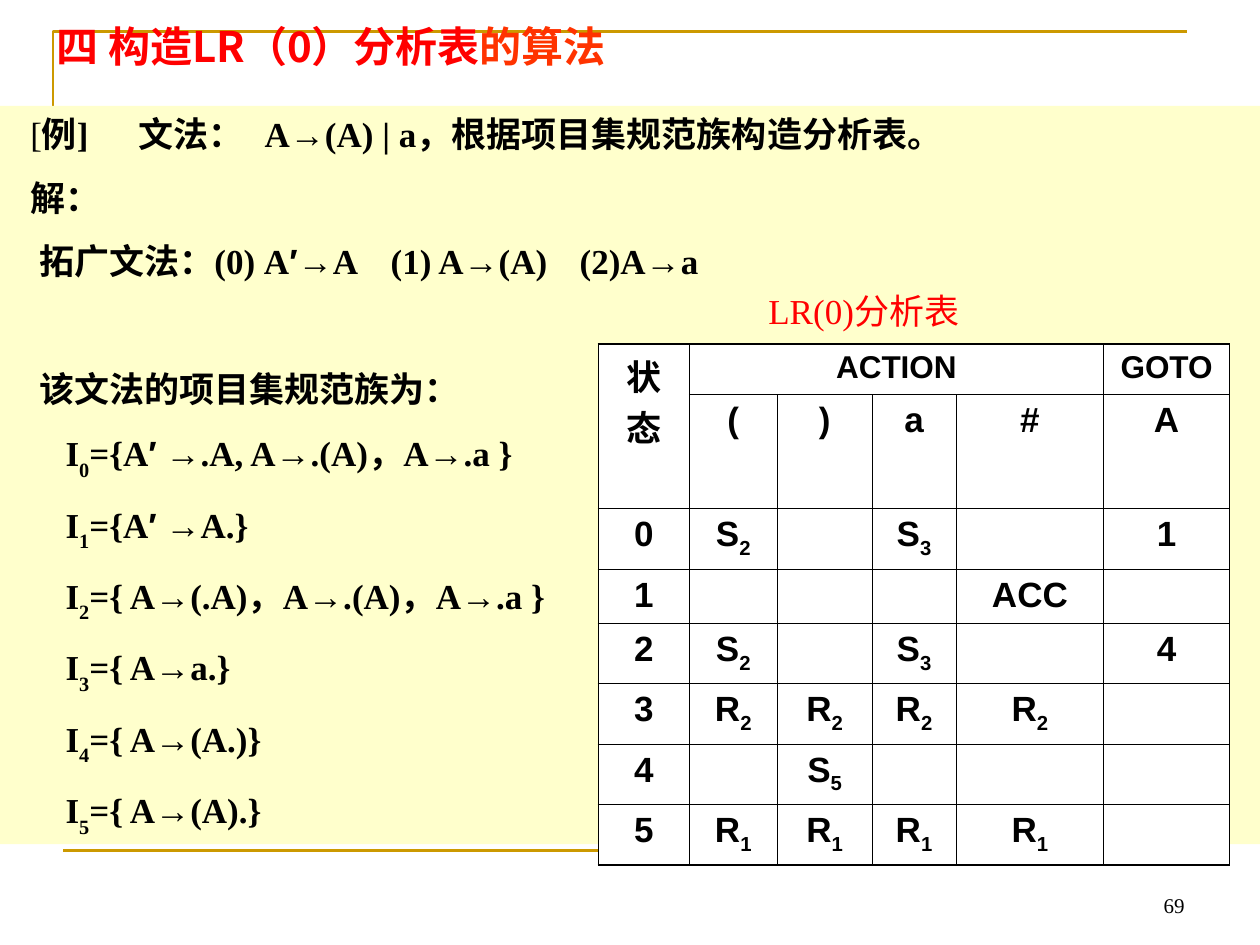
from lxml.etree import SubElement
from pptx import Presentation
from pptx.dml.color import RGBColor
from pptx.enum.shapes import MSO_CONNECTOR
from pptx.enum.text import MSO_ANCHOR as ANCHOR, MSO_AUTO_SIZE as AUTO, PP_ALIGN as ALIGN
from pptx.oxml.ns import qn
from pptx.util import Inches, Pt

rgb = RGBColor.from_string
SERIF, SANS, CJK = "Times New Roman", "Arial", "Noto Sans CJK SC"
GOLD = "CC9900"


def write(p, text, sz=20, f=SERIF, c="000000", b=False, drop=30):
    """Add text to p; the character after "_" is a subscript, primes are sans."""
    pieces = []
    for i, part in enumerate(text.split("_")):
        if i:
            pieces.append((part[0], f, drop))
            part = part[1:]
        pieces += [(t, SANS if t == "′" else f, 0) for t in part.partition("′") if t]
    for t, face, base in pieces:
        r = p.add_run()
        r.text = t
        r.font.size, r.font.name, r.font.bold = Pt(sz), face, b
        r.font.color.rgb = rgb(c)
        rPr = r._r.get_or_add_rPr()
        if base:
            rPr.set("baseline", str(-base * 1000))
        SubElement(rPr, qn("a:ea"), typeface=CJK)


def place(sp, x, y, w, h, anchor=ANCHOR.TOP):
    """Position a text shape and return its text frame."""
    sp.left, sp.top, sp.width, sp.height = (Inches(v) for v in (x, y, w, h))
    tf = sp.text_frame
    tf.word_wrap, tf.auto_size, tf.vertical_anchor = True, AUTO.NONE, anchor
    return tf


prs = Presentation()
prs.slide_width, prs.slide_height = Inches(10), Inches(7.5)
s = prs.slides.add_slide(prs.slide_layouts[1])
title, body = s.shapes.title, s.placeholders[1]

# Frame lines
fb = s.shapes.build_freeform(Inches(0.42), Inches(0.92))
fb.add_line_segments([(Inches(0.42), Inches(0.25)), (Inches(9.42), Inches(0.25))], close=False)
corner = fb.convert_to_shape()
corner.fill.background()
corner.shadow.inherit = False
rule = s.shapes.add_connector(MSO_CONNECTOR.STRAIGHT, Inches(0.5), Inches(6.75), Inches(9.5), Inches(6.75))
SubElement(rule._element.spPr, qn("a:effectLst"))
for line in (corner.line, rule.line):
    line.color.rgb, line.width = rgb(GOLD), Pt(1.5)

# Slide number
tf = place(s.shapes.add_textbox(0, 0, 0, 0), 7.17, 6.83, 2.33, 0.5, ANCHOR.BOTTOM)
p = tf.paragraphs[0]
p.alignment = ALIGN.RIGHT
write(p, "69", sz=12)

# Body and title go above the frame lines
tree = body.element.getparent()
tree.append(body.element)
tf = place(body, 0, 0.84, 10, 5.86)
body.fill.solid()
body.fill.fore_color.rgb = rgb("FFFFCC")

# Text, first-line indent, space before, tab stops
lines = [
    ("例]\t文法：\tA→(A) | a，根据项目集规范族构造分析表。", 0.14, 0, (0.94, 1.97)),
    ("解：", 0.14, 12.5, ()),
    ("拓广文法：(0) A′→A\t(1) A→(A)\t(2)A→a", 0.21, 12.5, (2.98, 4.57)),
    ("该文法的项目集规范族为：", 0.21, 49, ()),
]
item_sets = ["={A′ →.A, A→.(A)，A→.a }", "={A′ →A.}", "={ A→(.A)，A→.(A)，A→.a }",
             "={ A→a.}", "={ A→(A.)}", "={ A→(A).}"]
lines += [(f"I_{n}{items}", 0.42, 12.5, ()) for n, items in enumerate(item_sets)]
for n, (text, indent, before, stops) in enumerate(lines):
    p = tf.paragraphs[0] if n == 0 else tf.add_paragraph()
    pPr = p._p.get_or_add_pPr()
    pPr.set("marL", "0")
    pPr.set("indent", str(Inches(indent)))
    SubElement(pPr, qn("a:buNone"))
    if stops:
        tabs = SubElement(pPr, qn("a:tabLst"))
        for stop in stops:
            SubElement(tabs, qn("a:tab"), pos=str(Inches(stop)), algn="l")
    p.space_before = Pt(before)
    p.alignment = ALIGN.JUSTIFY if n else ALIGN.LEFT
    if n == 0:
        write(p, "[")
    write(p, text, b=True)

# Parsing table
cols = [0.72, 0.7, 0.75, 0.67, 1.17, 1]
rows = [0.4, 0.77, 0.48, 0.43] + [0.48] * 4
cells = [
    ["状态", "ACTION", "", "", "", "GOTO"],
    ["", "(", ")", "a", "#", "A"],
    ["0", "S_2", "", "S_3", "", "1"],
    ["1", "", "", "", "ACC", ""],
    ["2", "S_2", "", "S_3", "", "4"],
    ["3", "R_2", "R_2", "R_2", "R_2", ""],
    ["4", "", "S_5", "", "", ""],
    ["5", "R_1", "R_1", "R_1", "R_1", ""],
]
table = s.shapes.add_table(len(rows), len(cols), Inches(4.75), Inches(2.73),
                           Inches(sum(cols)), Inches(sum(rows))).table
table.first_row = table.horz_banding = False
for col, w in zip(table.columns, cols):
    col.width = Inches(w)
for row, h in zip(table.rows, rows):
    row.height = Inches(h)
table.cell(0, 0).merge(table.cell(1, 0))
table.cell(0, 1).merge(table.cell(0, 4))
for i, row in enumerate(cells):
    for j, text in enumerate(row):
        cell = table.cell(i, j)
        tcPr = cell._tc.get_or_add_tcPr()
        outer = {"L": j == 0, "R": j == len(cols) - 1, "T": i == 0, "B": i == len(rows) - 1}
        for side, edge in outer.items():
            ln = SubElement(tcPr, qn(f"a:ln{side}"), w=str(Pt(1.08 if edge else 0.45)))
            SubElement(SubElement(ln, qn("a:solidFill")), qn("a:srgbClr"), val="000000")
        cell.fill.solid()
        cell.fill.fore_color.rgb = rgb("FFFFFF")
        if text:
            p = cell.text_frame.paragraphs[0]
            p.alignment = ALIGN.CENTER
            write(p, text, sz=18 if i == 0 and j else 20, f=SANS, b=True, drop=25)

# Table caption
tf = place(s.shapes.add_textbox(0, 0, 0, 0), 5.58, 2.25, 4.17, 0.44)
p = tf.paragraphs[0]
p._p.get_or_add_pPr().set("indent", str(Inches(0.42)))
write(p, "LR(0)分析表", c="FF0000")

# Title
tree.append(title.element)
tf = place(title, 0.35, 0.11, 9.29, 0.5)
p = tf.paragraphs[0]
p.alignment = ALIGN.LEFT
write(p, "四 构造LR（0）分析表", sz=24, f=CJK, c="FF0000", b=True)
write(p, "的算法", sz=24, f=CJK, c="FF3300", b=True)

prs.save("out.pptx")
